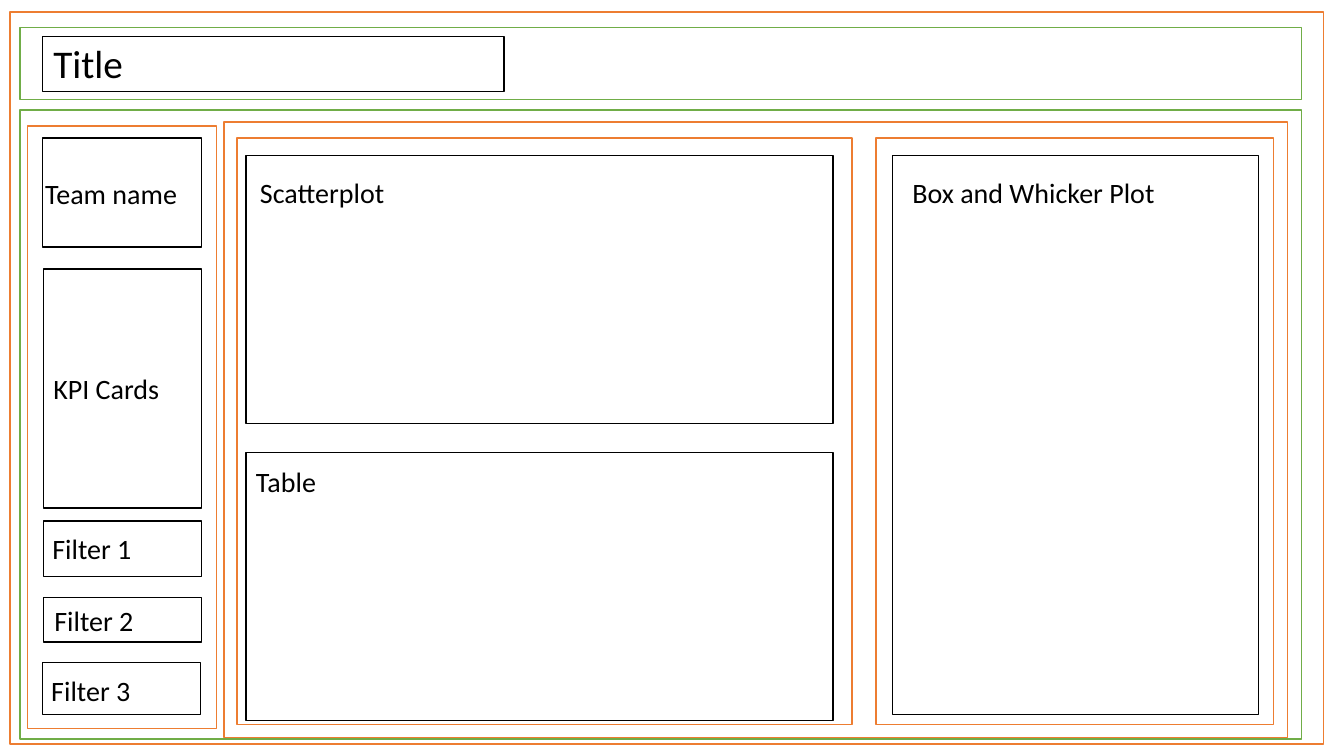
from dataclasses import dataclass

from pptx import Presentation
from pptx.dml.color import RGBColor
from pptx.enum.shapes import MSO_SHAPE
from pptx.enum.text import MSO_AUTO_SIZE
from pptx.util import Emu, Pt

PX = 9144  # EMU per px, 100 px to the inch


@dataclass(frozen=True)
class Theme:
    black: RGBColor = RGBColor(0x00, 0x00, 0x00)
    orange: RGBColor = RGBColor(0xED, 0x7D, 0x31)
    green: RGBColor = RGBColor(0x70, 0xAD, 0x47)
    font: str = "Calibri"
    title: int = 28
    label: int = 20
    line: int = 1


THEME = Theme()

# Widgets: left, top, width, height
CARDS = [
    (43, 517, 157, 55),    # filter 1
    (42, 36, 458, 55),     # title
    (244, 154, 582, 266),  # scatterplot
    (244, 449, 582, 266),  # table
    (885, 154, 363, 555),  # box plot
    (42, 137, 158, 108),   # team name
    (43, 267, 157, 237),   # KPI cards
    (43, 593, 157, 44),    # filter 2
    (42, 657, 157, 52),    # filter 3
]

# Containers that hold the widgets
FRAMES = [
    ((10, 12, 1303, 726), THEME.orange),    # page
    ((20, 27, 1271, 72), THEME.green),      # header
    ((20, 109, 1271, 624), THEME.green),    # body
    ((27, 125, 188, 598), THEME.orange),    # sidebar
    ((235, 137, 610, 582), THEME.orange),   # left column
    ((222, 121, 1055, 611), THEME.orange),  # main area
    ((869, 137, 394, 582), THEME.orange),   # right column
]

# Labels: text, left, top, width
LABELS = [
    ("Team name", 35, 170, 155),
    ("KPI Cards", 43, 364, 155),
    ("Filter 1", 42, 522, 155),
    ("Filter 2", 44, 594, 155),
    ("Filter 3", 41, 663, 155),
    ("Scatterplot", 248, 169, 155),
    ("Table", 244, 456, 155),
    ("Box and Whicker Plot", 895, 169, 285),
]


def scale(*sizes):
    return [Emu(size * PX) for size in sizes]


def add_frame(slide, box, color):
    frame = slide.shapes.add_shape(MSO_SHAPE.RECTANGLE, *scale(*box))
    frame.shadow.inherit = False
    frame.fill.background()
    frame.line.color.rgb = color
    frame.line.width = Pt(THEME.line)


def add_label(slide, text, left, top, width, height=44, size=THEME.label):
    label = slide.shapes.add_textbox(*scale(left, top, width, height))
    frame = label.text_frame
    frame.word_wrap = True
    frame.auto_size = MSO_AUTO_SIZE.SHAPE_TO_FIT_TEXT
    frame.text = text
    font = frame.paragraphs[0].runs[0].font
    font.name = THEME.font
    font.size = Pt(size)
    font.color.rgb = THEME.black


def main():
    deck = Presentation()
    deck.slide_width, deck.slide_height = scale(1333, 750)
    slide = deck.slides.add_slide(deck.slide_layouts[6])

    # Outlines
    for box in CARDS:
        add_frame(slide, box, THEME.black)
    for box, color in FRAMES:
        add_frame(slide, box, color)

    # Text
    add_label(slide, "Title", 43, 34, 261, 57, THEME.title)
    for label in LABELS:
        add_label(slide, *label)

    deck.save("out.pptx")


if __name__ == "__main__":
    main()
